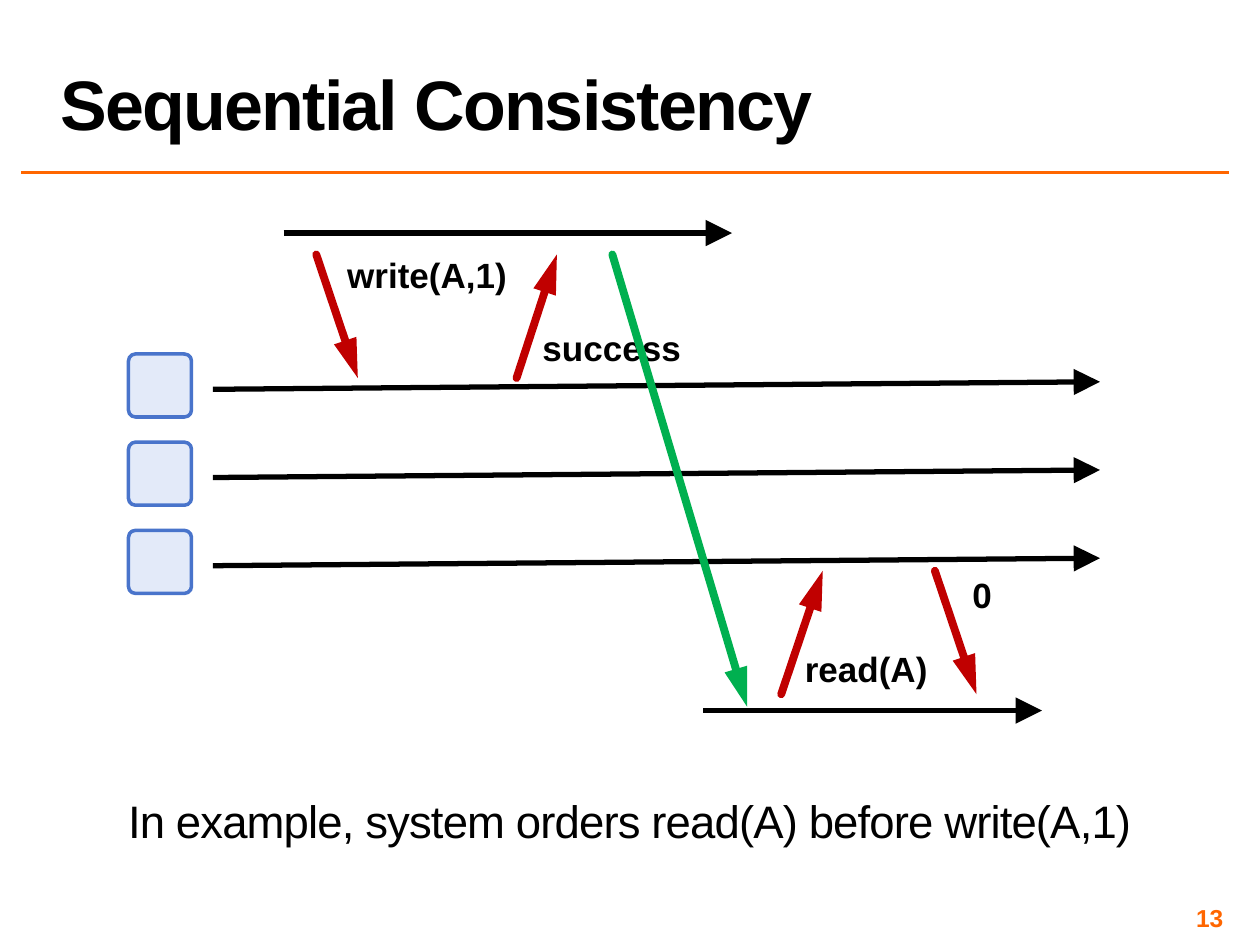
from lxml import etree
from pptx import Presentation
from pptx import util as u
from pptx.dml.color import RGBColor
from pptx.enum import shapes, text
from pptx.oxml import ns

FONT = "Arial"
BLACK, ORANGE, RED, GREEN = "000000", "FF6600", "C00000", "00B050"
NODE_FILL, NODE_LINE = "E3EAF9", "4974CB"
NODE_SIZE, FIRST_NODE_TOP, NODE_STEP = 0.5, 2.81, 0.7


def color(hex_code):
    return RGBColor.from_string(hex_code)


def add_line(slide, start, end, hex_code, width):
    ends = [u.Inches(value) for value in (*start, *end)]
    line = slide.shapes.add_connector(shapes.MSO_CONNECTOR.STRAIGHT, *ends)
    line.line.color.rgb = color(hex_code)
    line.line.width = u.Pt(width)
    etree.SubElement(line._element.spPr, ns.qn("a:effectLst"))
    return line


def add_arrow(slide, start, end, hex_code, width, head_width):
    outline = add_line(slide, start, end, hex_code, width).line._get_or_add_ln()
    etree.SubElement(outline, ns.qn("a:tailEnd"), type="triangle", w=head_width, len="lg")
    return outline


def add_timeline(slide, start, end):
    add_arrow(slide, start, end, BLACK, 3, "lg")


def add_message(slide, start, end, hex_code=RED):
    """Thick round-capped arrow between two timelines."""
    add_arrow(slide, start, end, hex_code, 4.5, "med").set("cap", "rnd")


def add_node(slide, top):
    """Server box with its timeline."""
    add_timeline(slide, (1.69, top + 0.28), (8.73, top + 0.22))
    box = slide.shapes.add_shape(
        shapes.MSO_SHAPE.ROUNDED_RECTANGLE,
        u.Inches(1.02), u.Inches(top), u.Inches(NODE_SIZE), u.Inches(NODE_SIZE))
    box.adjustments[0] = 0.11
    box.shadow.inherit = False
    box.fill.solid()
    box.fill.fore_color.rgb = color(NODE_FILL)
    box.line.color.rgb = color(NODE_LINE)
    box.line.width = u.Pt(2)


def write(box, words, size, hex_code=BLACK, bold=True, align=text.PP_ALIGN.CENTER,
          anchor=text.MSO_ANCHOR.TOP, inset=None, line_spacing=None, tracking=0):
    """Fill a box with one paragraph; tracking is in points."""
    frame = box.text_frame
    frame.word_wrap = True
    frame.auto_size = text.MSO_AUTO_SIZE.NONE
    frame.vertical_anchor = anchor
    if inset is not None:
        frame.margin_left = frame.margin_right = u.Inches(inset)
        frame.margin_top = frame.margin_bottom = u.Inches(inset)
    para = frame.paragraphs[0]
    para.alignment = align
    if line_spacing:
        para.line_spacing = line_spacing
    span = para.add_run()
    span.text = words
    para.font.name = FONT
    para.font.size = u.Pt(size)
    para.font.bold = bold
    para.font.color.rgb = color(hex_code)
    for font in (para.font, span.font):
        font.name, font.size, font.bold = FONT, u.Pt(size), bold
        font.color.rgb = color(hex_code)
    if tracking:
        span._r.get_or_add_rPr().set("spc", str(int(tracking * 100)))


def add_text(slide, place, words, size, **style):
    box = slide.shapes.add_textbox(*[u.Inches(value) for value in place])
    write(box, words, size, **style)


def set_title(slide, words):
    title = slide.shapes.title
    title.left, title.top = u.Inches(0.38), u.Inches(0.02)
    title.width, title.height = u.Inches(9.62), u.Inches(1.17)
    write(title, words, 40, align=text.PP_ALIGN.LEFT, anchor=text.MSO_ANCHOR.BOTTOM,
          line_spacing=0.8, tracking=-1)


def main():
    deck = Presentation()
    deck.slide_width, deck.slide_height = u.Inches(10), u.Inches(7.5)
    slide = deck.slides.add_slide(deck.slide_layouts[5])

    add_line(slide, (0.17, 1.37), (9.75, 1.37), ORANGE, 2)
    set_title(slide, "Sequential Consistency")

    for row in range(3):
        add_node(slide, FIRST_NODE_TOP + row * NODE_STEP)
    add_timeline(slide, (2.25, 1.85), (5.81, 1.85))
    add_timeline(slide, (5.58, 5.64), (8.27, 5.64))

    add_message(slide, (2.51, 2.02), (2.84, 3))
    add_message(slide, (4.1, 3), (4.42, 2.02))
    add_message(slide, (6.2, 5.51), (6.53, 4.53))
    add_message(slide, (7.42, 4.53), (7.75, 5.51))

    for words, left, top, width in (
            ("write(A,1)", 2.51, 1.96, 1.76),
            ("success", 4.1, 2.54, 1.51),
            ("read(A)", 6.23, 5.09, 1.29),
            ("0", 7.58, 4.5, 0.43)):
        add_text(slide, (left, top, width, 0.44), words, 20)
    add_message(slide, (4.86, 2.02), (5.93, 5.61), GREEN)

    add_text(slide, (0.41, 6.17, 9.18, 0.88),
             "In example, system orders read(A) before write(A,1)", 26,
             bold=False, inset=0.04, line_spacing=1.2, tracking=-0.5)
    add_text(slide, (7.42, 7.17, 2.33, 0.23), "13", 14, hex_code=ORANGE,
             align=text.PP_ALIGN.RIGHT, anchor=text.MSO_ANCHOR.MIDDLE, inset=0.04)

    deck.save("out.pptx")


if __name__ == "__main__":
    main()
